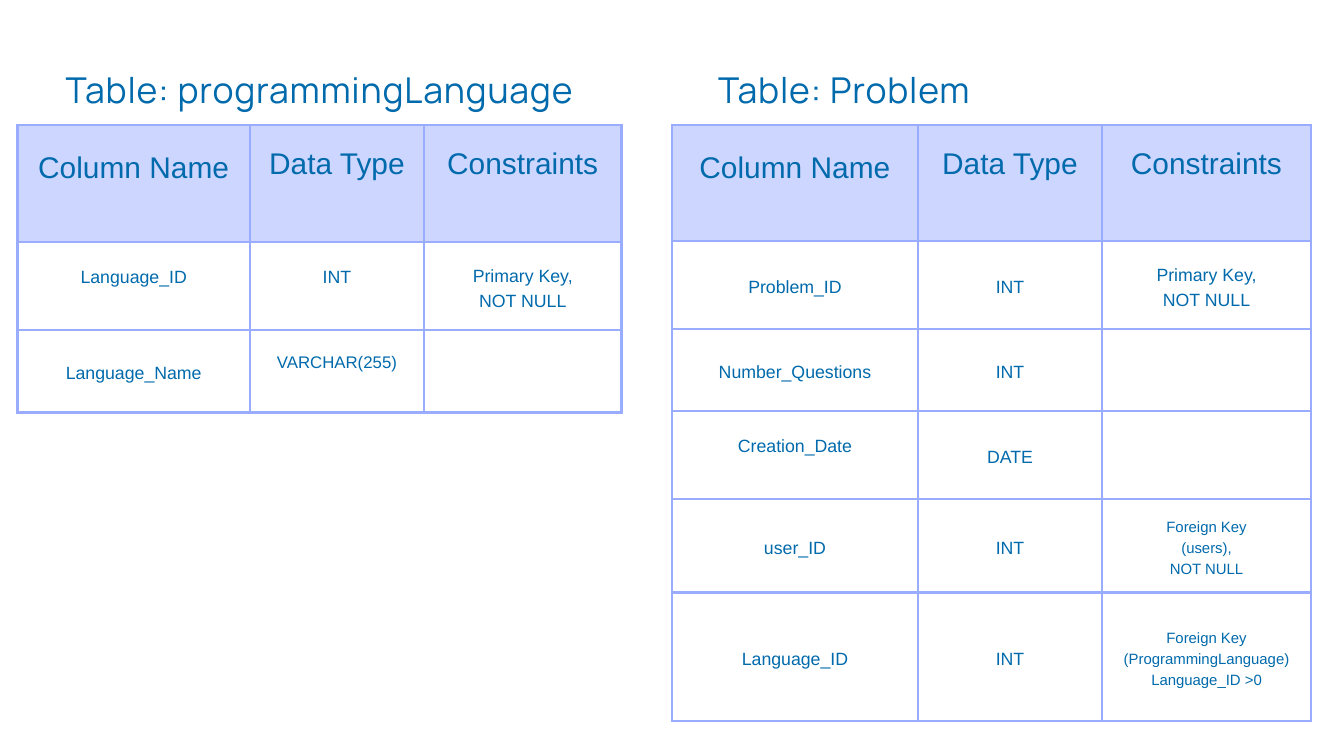
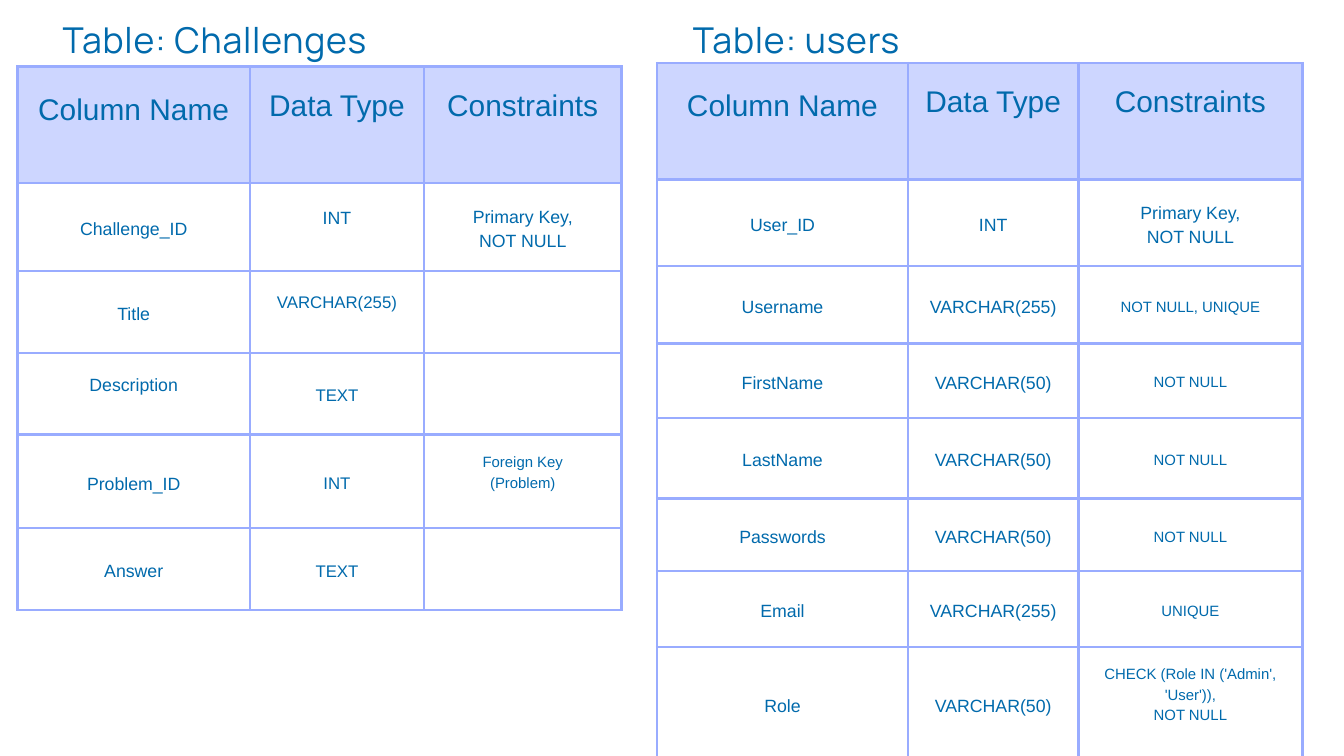
import pptx
import pptx.util
import pptx.dml.color
import pptx.enum.text
import pptx.oxml
import pptx.oxml.ns

Inches = pptx.util.Inches
Pt = pptx.util.Pt
Anchor = pptx.enum.text.MSO_ANCHOR
HEAD = ("Column Name", "Data Type", "Constraints")
KEY = "Primary Key,\nNOT NULL"
LEFT, RIGHT = 0.26, 9.78
NARROW = (3.46, 2.59, 2.94)


def paint(hue):
    return pptx.dml.color.RGBColor.from_string(hue)


class Deck:
    ink, edge, band = "016AAC", "99ACFF", "CDD6FF"
    pad, lift = 0.21, 0.54

    def __init__(self):
        self.show = pptx.Presentation()
        self.show.slide_width = Inches(20)
        self.show.slide_height = Inches(11.25)

    def page(self):
        self.slide = self.show.slides.add_slide(self.show.slide_layouts[5])

    def words(self, frame, text, size, face, ratio=1.4):
        for i, line in enumerate(text.split("\n")):
            para = frame.paragraphs[0] if i == 0 else frame.add_paragraph()
            para.alignment = pptx.enum.text.PP_ALIGN.CENTER
            para.line_spacing = Pt(round(size * ratio, 1))
            run = para.add_run()
            run.text = line
            run.font.size = Pt(size)
            run.font.name = face
            run.font.color.rgb = paint(self.ink)
        return run

    def label(self, shape, text, left, top, width):
        shape.left, shape.top = Inches(left), Inches(top)
        shape.width, shape.height = Inches(width), Inches(0.71)
        frame = shape.text_frame
        frame.margin_left = frame.margin_right = 0
        frame.margin_top = frame.margin_bottom = 0
        frame.word_wrap = True
        frame.vertical_anchor = Anchor.TOP
        frame.auto_size = pptx.enum.text.MSO_AUTO_SIZE.SHAPE_TO_FIT_TEXT
        run = self.words(frame, text, 38.1, "Manrope")
        run.font._element.set("spc", "90")

    def title(self, *args):
        self.label(self.slide.shapes.title, *args)

    def second(self, *args):
        self.label(self.slide.shapes.add_textbox(0, 0, 0, 0), *args)

    def frame(self, cell):
        props = cell._tc.get_or_add_tcPr()
        for i, side in enumerate("LRTB"):
            line = pptx.oxml.parse_xml(
                f'<a:ln{side} {pptx.oxml.ns.nsdecls("a")} w="38100"><a:solidFill>'
                f'<a:srgbClr val="{self.edge}"/></a:solidFill></a:ln{side}>')
            props.insert(i, line)

    def cell(self, cell, text, size, head, low, high):
        cell.margin_left = cell.margin_right = Inches(self.pad)
        cell.margin_top = Inches(0.27 if low else self.pad)
        cell.margin_bottom = Inches(self.lift if high else self.pad)
        cell.vertical_anchor = Anchor.TOP if head else Anchor.MIDDLE
        if head:
            cell.fill.solid()
            cell.fill.fore_color.rgb = paint(self.band)
        else:
            cell.fill.background()
        self.frame(cell)
        if text:
            self.words(cell.text_frame, text, size, "Arial")

    def table(self, left, top, cols, highs, rows, raised=(), mid=19):
        rows = [HEAD, *rows]
        shape = self.slide.shapes.add_table(
            len(rows), len(cols), Inches(left), Inches(top),
            Inches(sum(cols)), Inches(sum(highs)))
        grid = shape.table
        grid.first_row = grid.horz_banding = False
        for col, width in zip(grid.columns, cols):
            col.width = Inches(width)
        for i, row in enumerate(rows):
            grid.rows[i].height = Inches(highs[i])
            sizes = {0: (32, 32, 32), 1: (19, 19, 19)}.get(i, (19, mid, 16))
            for j, text in enumerate(row):
                self.cell(grid.cell(i, j), text, sizes[j], i == 0,
                          i == j == 0, (i, j) in raised)


def main():
    deck = Deck()

    deck.page()
    deck.title("Table: programmingLanguage", 0, 0.9, 9.51)
    deck.second("Table: Problem", RIGHT, 0.9, 5.56)
    deck.table(LEFT, 1.86, NARROW, (1.74, 1.31, 1.23), [
        ("Language_ID", "INT", KEY),
        ("Language_Name", "VARCHAR(255)", ""),
    ], {(1, 0), (1, 1), (2, 1)}, 18)
    deck.table(10, 1.86, (3.66, 2.74, 3.11),
               (1.73, 1.31, 1.22, 1.31, 1.39, 1.91), [
        ("Problem_ID", "INT", KEY),
        ("Number_Questions", "INT", ""),
        ("Creation_Date", "DATE", ""),
        ("user_ID", "INT", "Foreign Key\n(users),\nNOT NULL"),
        ("Language_ID", "INT",
         "Foreign Key\n(ProgrammingLanguage)\nLanguage_ID >0"),
    ], {(3, 0)})

    deck.page()
    deck.title("Table: Challenges", 0, 0.16, 6.39)
    deck.second("Table: users", RIGHT, 0.16, 4.14)
    deck.table(LEFT, 0.99, NARROW, (1.73, 1.31, 1.22, 1.22, 1.39, 1.22), [
        ("Challenge_ID", "INT", KEY),
        ("Title", "VARCHAR(255)", ""),
        ("Description", "TEXT", ""),
        ("Problem_ID", "INT", "Foreign Key\n(Problem)"),
        ("Answer", "TEXT", ""),
    ], {(1, 1), (2, 1), (3, 0), (4, 2)}, 18)
    deck.table(RIGHT, 0.94, (3.73, 2.54, 3.33),
               (1.73, 1.29, 1.15, 1.11, 1.2, 1.08, 1.13, 1.69), [
        ("User_ID", "INT", KEY),
        ("Username", "VARCHAR(255)", "NOT NULL, UNIQUE"),
        ("FirstName", "VARCHAR(50)", "NOT NULL"),
        ("LastName", "VARCHAR(50)", "NOT NULL"),
        ("Passwords", "VARCHAR(50)", "NOT NULL"),
        ("Email", "VARCHAR(255)", "UNIQUE"),
        ("Role", "VARCHAR(50)",
         "CHECK (Role IN ('Admin', 'User')),\nNOT NULL"),
    ], {(7, 2)})

    deck.show.save("out.pptx")


if __name__ == "__main__":
    main()
